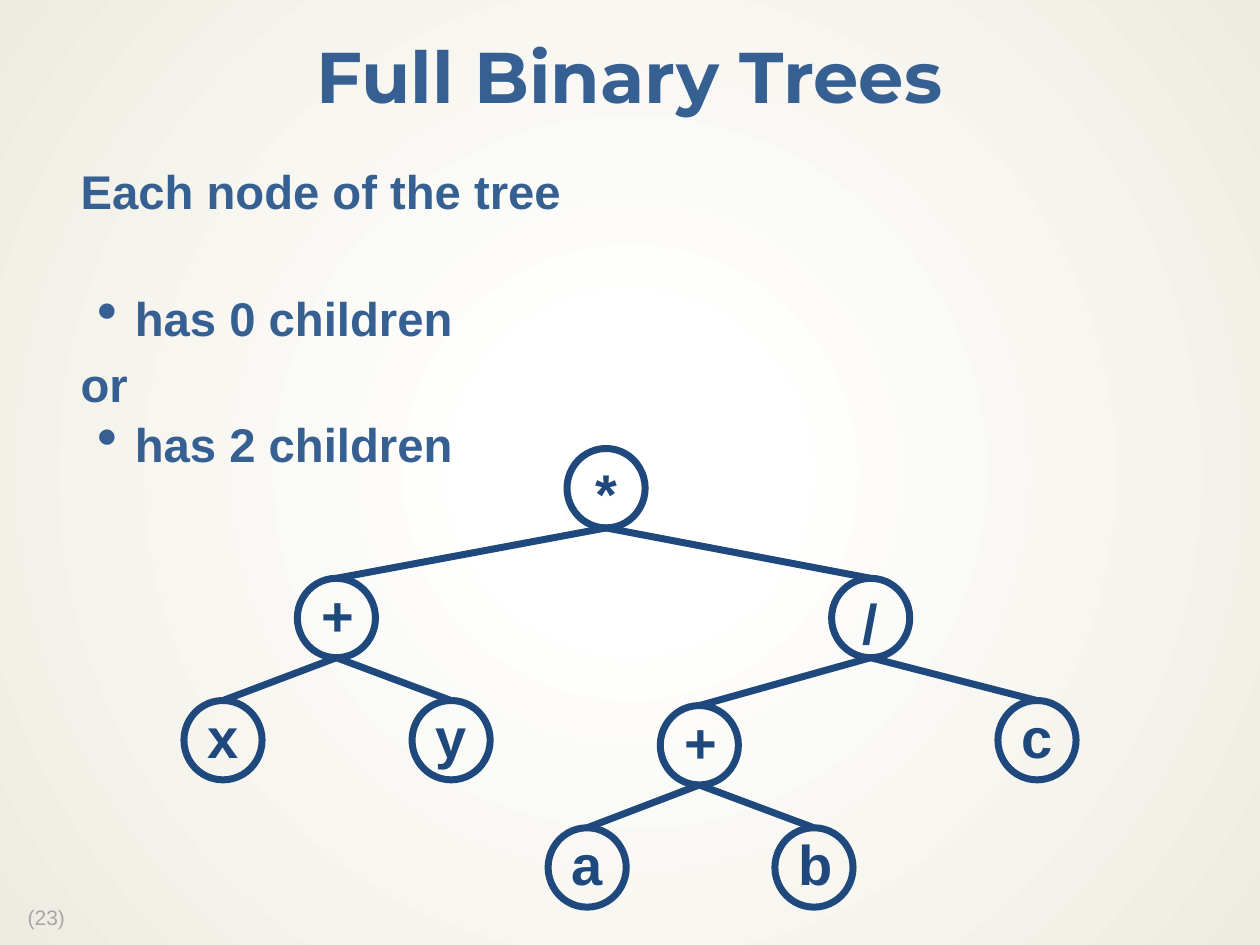
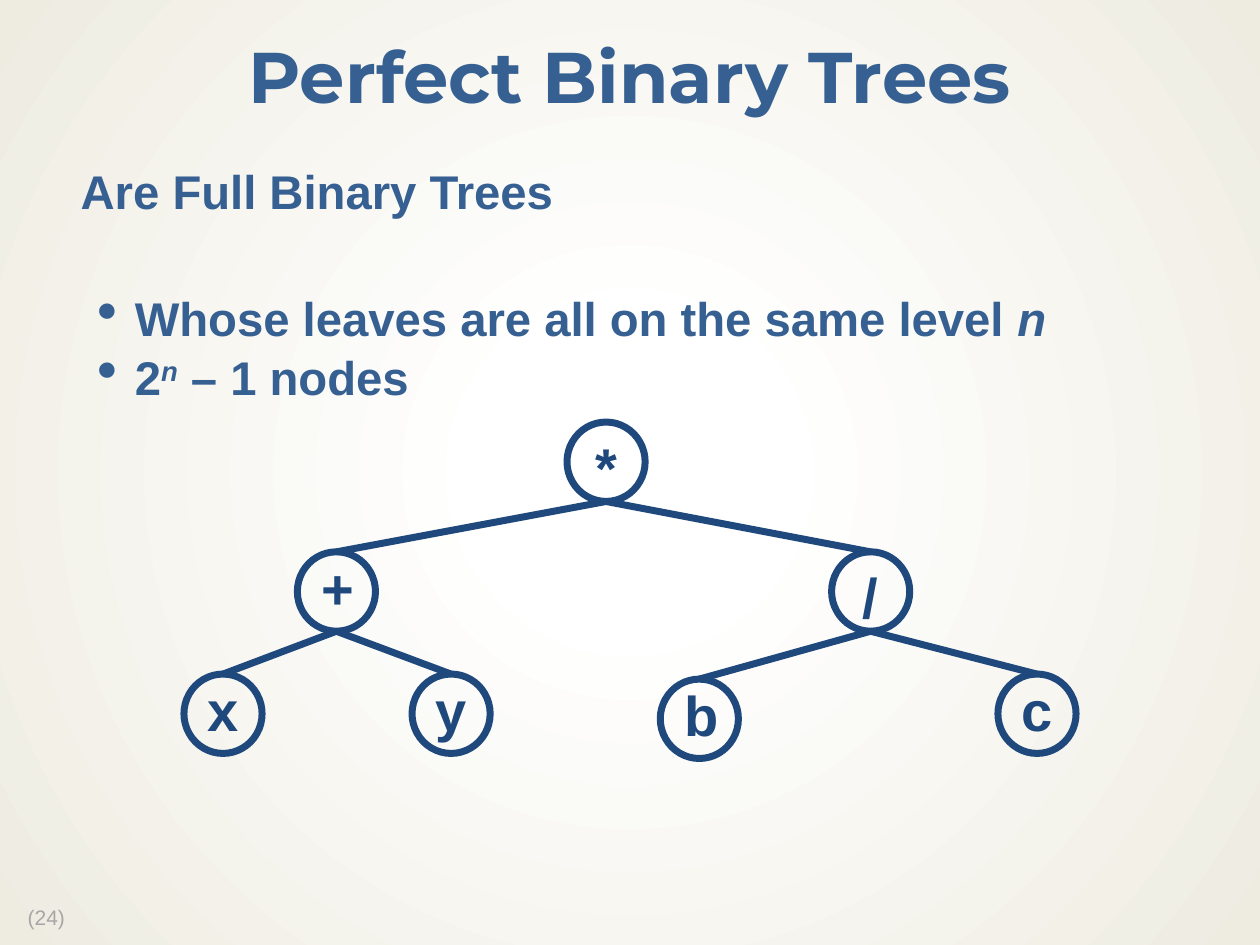
from dataclasses import dataclass

from lxml.etree import SubElement
from pptx import Presentation
from pptx.dml.color import RGBColor
from pptx.enum.shapes import MSO_CONNECTOR, MSO_SHAPE
from pptx.enum.text import MSO_ANCHOR, PP_ALIGN
from pptx.oxml import parse_xml
from pptx.oxml.ns import nsdecls, qn
from pptx.util import Inches, Pt

# Shared style
TEXT_BLUE = RGBColor(0x37, 0x60, 0x92)
TREE_BLUE = RGBColor(0x1F, 0x49, 0x7D)
FOOTER_GREY = RGBColor(0xA6, 0xA6, 0xA6)
BODY_FONT = "Arial"
TITLE_FONT = "Montserrat"
LINE_SPACING = 0.9
NODE_WIDTH, NODE_HEIGHT = 0.62, 0.63
TREE_LINE = Pt(4)
BACKGROUND = f"""
<a:gradFill {nsdecls("a")} rotWithShape="1">
  <a:gsLst>
    <a:gs pos="18000"><a:srgbClr val="FFFFFF"><a:alpha val="53000"/></a:srgbClr></a:gs>
    <a:gs pos="100000"><a:srgbClr val="EEECE1"/></a:gs>
  </a:gsLst>
  <a:path path="circle"><a:fillToRect l="50000" t="50000" r="50000" b="50000"/></a:path>
</a:gradFill>"""


@dataclass
class Node:
    label: str
    left: float
    drop: float  # distance below the root's top
    children: tuple = ()
    anchor: MSO_ANCHOR = MSO_ANCHOR.MIDDLE


@dataclass
class Line:
    runs: tuple  # (text, style) pairs; style is "", "italic" or "superscript"
    space_before: float = 0
    bullet: bool = False


def set_background(presentation):
    master = presentation.slide_master
    master.background.fill.gradient()
    gradient = master.element.find(".//" + qn("p:bg")).find(".//" + qn("a:gradFill"))
    gradient.getparent().replace(gradient, parse_xml(BACKGROUND))


def style_paragraph(paragraph, size, color, bold=True, name=BODY_FONT, align=PP_ALIGN.LEFT):
    paragraph.alignment = align
    paragraph.line_spacing = LINE_SPACING
    font = paragraph.font
    font.name, font.size, font.bold = name, Pt(size), bold
    font.color.rgb = color


def add_text_frame(slide, left, top, width, height, margins, anchor=MSO_ANCHOR.TOP):
    box = slide.shapes.add_textbox(Inches(left), Inches(top), Inches(width), Inches(height))
    frame = box.text_frame
    frame.word_wrap = True
    frame.vertical_anchor = anchor
    (frame.margin_left, frame.margin_top,
     frame.margin_right, frame.margin_bottom) = map(Inches, margins)
    return frame


def add_title(slide, title):
    frame = add_text_frame(slide, 0, 0.17, 10, 0.94, (0.13, 0.06, 0.13, 0.06), MSO_ANCHOR.MIDDLE)
    paragraph = frame.paragraphs[0]
    paragraph.text = title
    style_paragraph(paragraph, 41, TEXT_BLUE, name=TITLE_FONT, align=PP_ALIGN.CENTER)


def add_footer(slide, number):
    frame = add_text_frame(slide, 0.07, 7.15, 0.56, 0.28, (0.15, 0.05, 0, 0.05))
    paragraph = frame.paragraphs[0]
    paragraph.text = f"({number})"
    style_paragraph(paragraph, 12, FOOTER_GREY, bold=False)


def indent(paragraph, bullet):
    properties = paragraph._p.get_or_add_pPr()
    properties.set("marL", str(Inches(0.57 if bullet else 0.14)))
    properties.set("indent", str(Inches(-0.3 if bullet else 0)))
    if bullet:
        SubElement(properties, qn("a:buSzPct")).set("val", "125000")
        SubElement(properties, qn("a:buChar")).set("char", "•")


def add_body(slide, lines):
    frame = add_text_frame(slide, 0.38, 1.25, 9.25, 5.65, (0.12, 0.09, 0.12, 0.06))
    for index, line in enumerate(lines):
        paragraph = frame.add_paragraph() if index else frame.paragraphs[0]
        indent(paragraph, line.bullet)
        style_paragraph(paragraph, 27, TEXT_BLUE)
        if line.space_before:
            paragraph.space_before = Pt(line.space_before)
        for text, style in line.runs:
            run = paragraph.add_run()
            run.text = text
            if style:
                run.font.italic = True
            if style == "superscript":
                run._r.get_or_add_rPr().set("baseline", "30000")


def add_node(slide, node, root_top):
    circle = slide.shapes.add_shape(
        MSO_SHAPE.OVAL, Inches(node.left), Inches(root_top + node.drop),
        Inches(NODE_WIDTH), Inches(NODE_HEIGHT))
    circle.shadow.inherit = False
    circle.fill.background()
    circle.line.color.rgb = TREE_BLUE
    circle.line.width = TREE_LINE
    circle.text_frame.vertical_anchor = node.anchor
    paragraph = circle.text_frame.paragraphs[0]
    paragraph.text = node.label
    style_paragraph(paragraph, 32, TREE_BLUE, align=PP_ALIGN.CENTER)
    return circle


def add_branch(slide, parent, child):
    """Run a line from the bottom of the parent to the top of the child."""
    x, y = parent.left + parent.width // 2, parent.top + parent.height
    branch = slide.shapes.add_connector(MSO_CONNECTOR.STRAIGHT, x, y, x, y)
    branch.end_connect(child, 0)
    branch.line.color.rgb = TREE_BLUE
    branch.line.width = TREE_LINE
    SubElement(branch._element.spPr, qn("a:effectLst"))


def add_tree(slide, node, root_top):
    circle = add_node(slide, node, root_top)
    for child in node.children:
        add_branch(slide, circle, add_tree(slide, child, root_top))
    return circle


def expression_tree(inner_node):
    """The tree of both slides; only the left child of "/" differs."""
    plus = Node("+", 2.36, 1.03, (Node("x", 1.46, 2), Node("y", 3.27, 2)))
    divide = Node("/", 6.6, 1.03, (inner_node, Node("c", 7.92, 2)), MSO_ANCHOR.TOP)
    return Node("*", 4.5, 0, (plus, divide), MSO_ANCHOR.TOP)


def add_tree_slide(presentation, number, title, lines, tree, root_top):
    slide = presentation.slides.add_slide(presentation.slide_layouts[6])
    add_footer(slide, number)
    add_title(slide, title)
    add_body(slide, lines)
    add_tree(slide, tree, root_top)


def main():
    presentation = Presentation()
    presentation.slide_width, presentation.slide_height = Inches(10), Inches(7.5)
    set_background(presentation)

    # Full trees
    add_tree_slide(
        presentation, 23, "Full Binary Trees",
        [Line((("Each node of the tree", ""),)),
         Line((("has 0 children", ""),), 43, True),
         Line((("or", ""),), 9),
         Line((("has 2 children", ""),), 5, True)],
        expression_tree(Node("+", 5.24, 2.04, (Node("a", 4.35, 3.01), Node("b", 6.15, 3.01)))),
        3.56)

    # Perfect trees
    add_tree_slide(
        presentation, 24, "Perfect Binary Trees",
        [Line((("Are Full Binary Trees", ""),)),
         Line((("Whose leaves are all on the same level ", ""), ("n", "italic")), 43, True),
         Line((("2", ""), ("n", "superscript"), (" – 1 nodes", "")), 5, True)],
        expression_tree(Node("b", 5.24, 2.04)),
        3.35)

    presentation.save("out.pptx")


if __name__ == "__main__":
    main()
